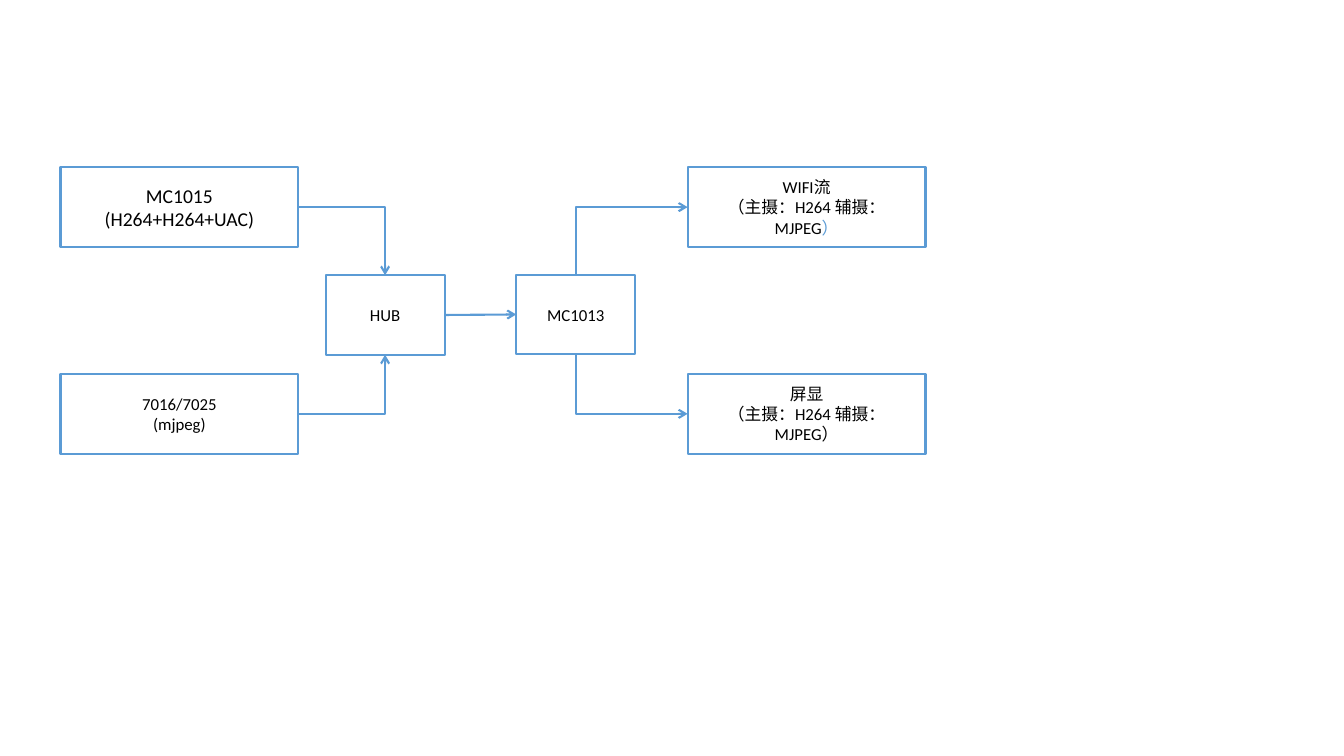
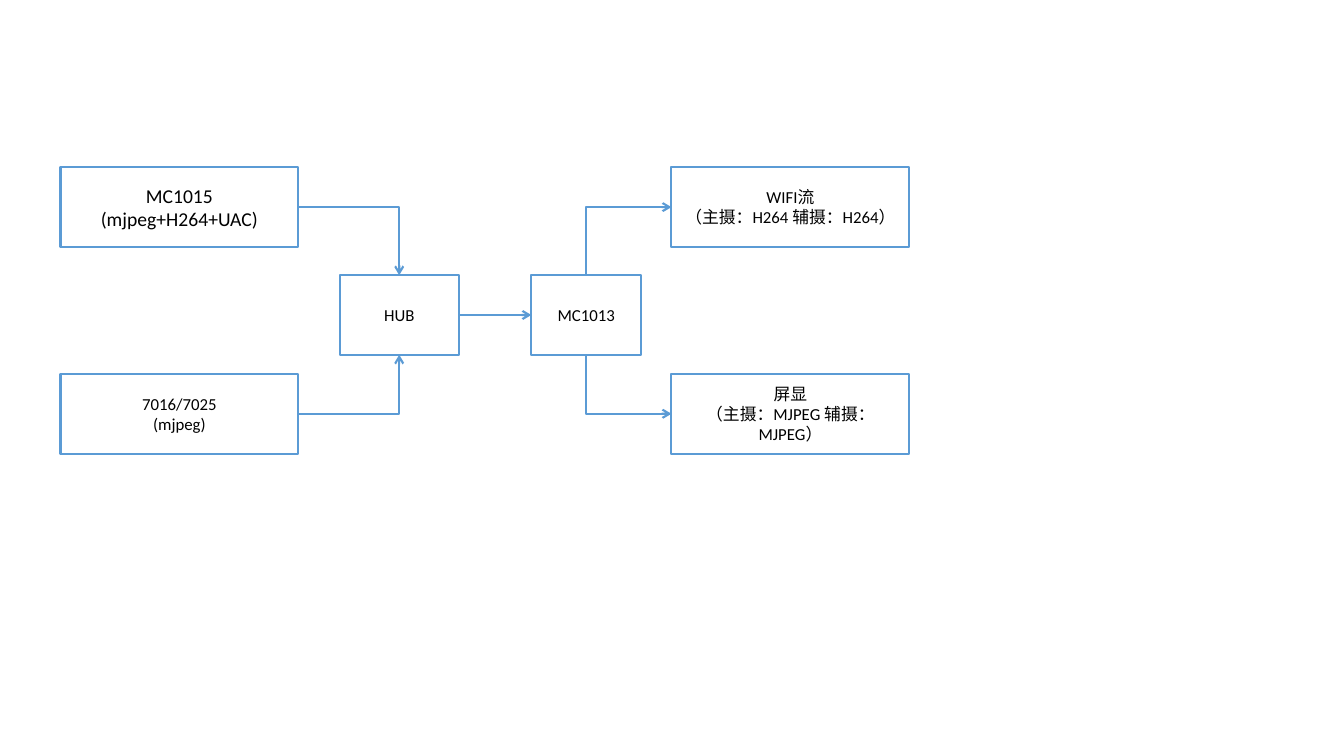
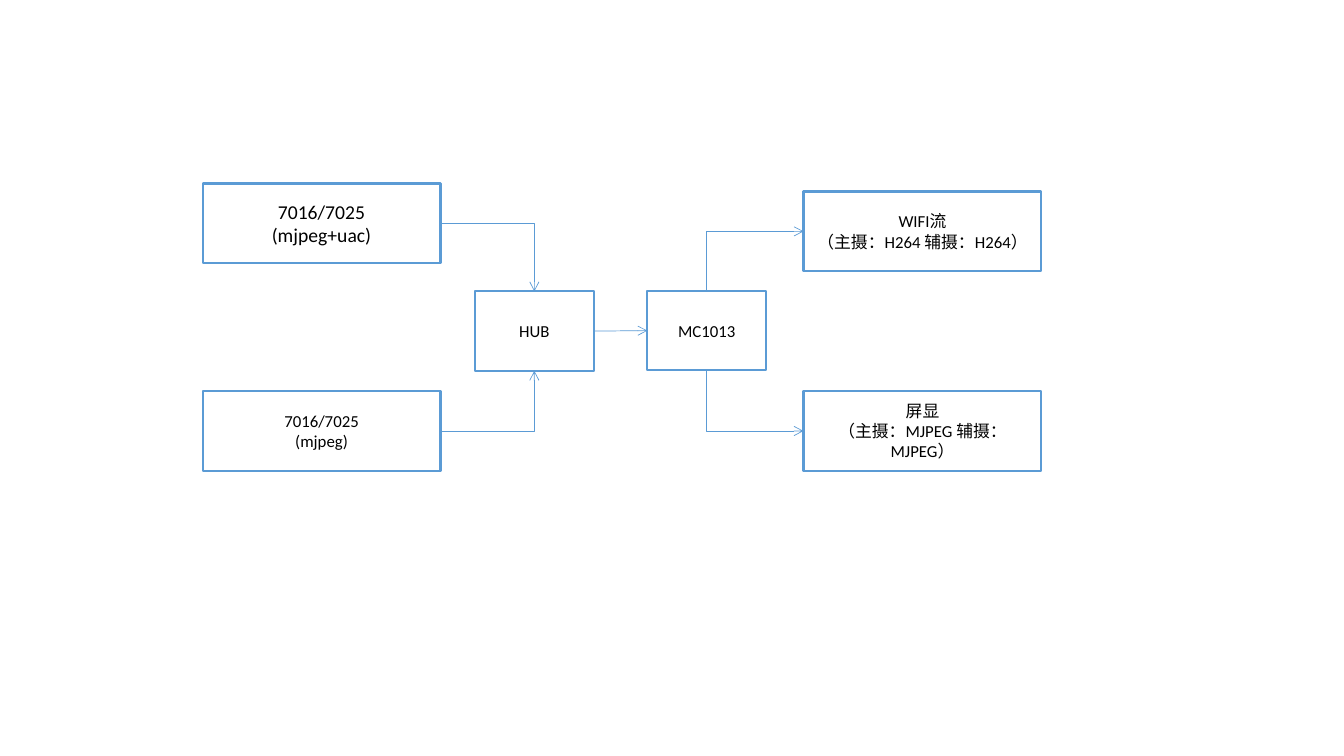
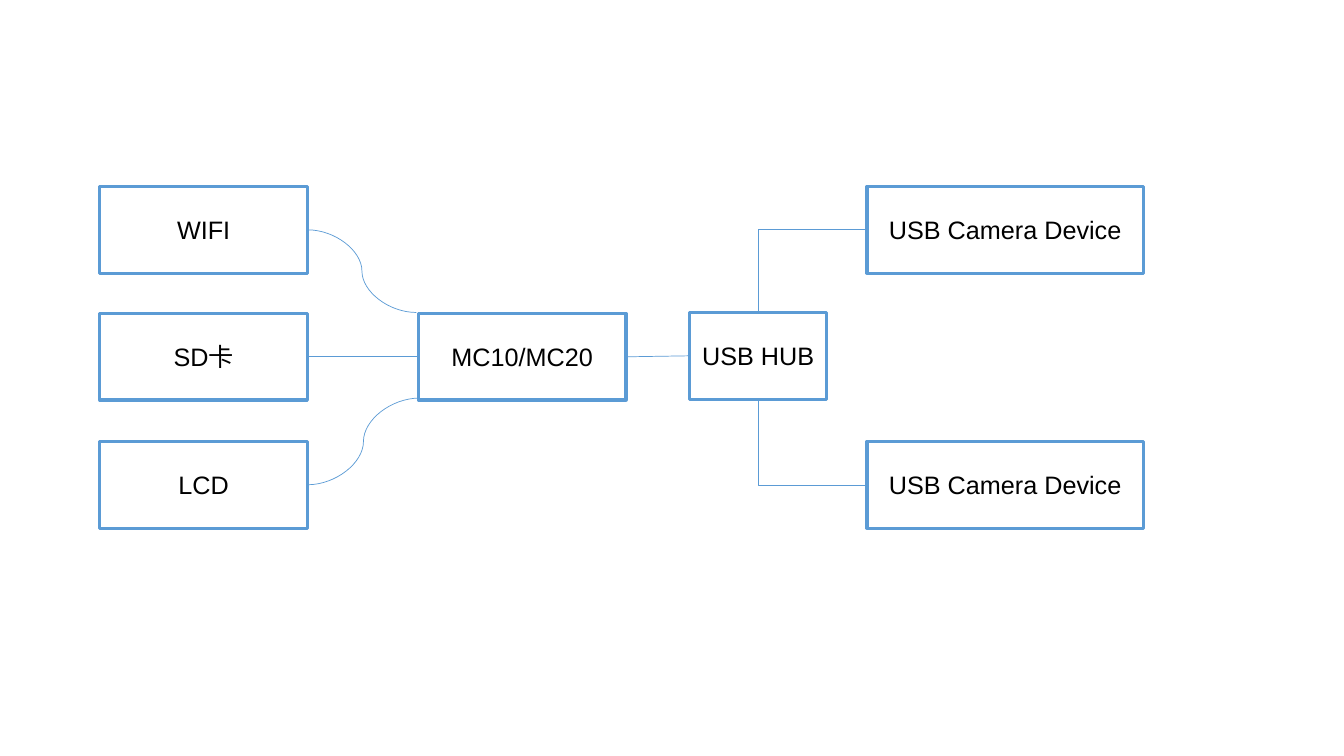
from lxml.etree import SubElement
from pptx import Presentation
from pptx.dml.color import RGBColor
from pptx.enum.shapes import MSO_CONNECTOR, MSO_SHAPE
from pptx.enum.text import MSO_ANCHOR, PP_ALIGN
from pptx.oxml.ns import qn
from pptx.util import Inches, Pt

ACCENT = "5B9BD5"
WHITE = "FFFFFF"
BLACK = "000000"
TOP, LEFT, BOTTOM, RIGHT = range(4)


def color(value):
    """Turn a hex string into a colour."""
    return RGBColor.from_string(value)


def side_point(shape, side):
    """Return the middle of one side of a shape."""
    x = shape.left + shape.width * {LEFT: 0, RIGHT: 2}.get(side, 1) // 2
    y = shape.top + shape.height * {TOP: 0, BOTTOM: 2}.get(side, 1) // 2
    return x, y


class Diagram:
    """Draws boxes and connectors in one style on the current slide."""

    def __init__(self, presentation):
        """Remember the presentation."""
        self.presentation = presentation

    def new_slide(self, font, size, box_line, link_line, arrow):
        """Start a blank slide and set its style."""
        self.slide = self.presentation.slides.add_slide(self.presentation.slide_layouts[6])
        self.font, self.size = font, size
        self.box_line, self.link_line, self.arrow = box_line, link_line, arrow

    def box(self, left, top, width, height, lines, size=None):
        """Add an outlined rectangle with centred lines of text."""
        shape = self.slide.shapes.add_shape(
            MSO_SHAPE.RECTANGLE, Inches(left), Inches(top), Inches(width), Inches(height))
        shape.shadow.inherit = False
        shape.fill.solid()
        shape.fill.fore_color.rgb = color(WHITE)
        shape.line.color.rgb = color(ACCENT)
        shape.line.width = Pt(self.box_line)
        text_frame = shape.text_frame
        text_frame.word_wrap = True
        text_frame.vertical_anchor = MSO_ANCHOR.MIDDLE
        text_frame.text = lines
        for paragraph in text_frame.paragraphs:
            paragraph.alignment = PP_ALIGN.CENTER
            for run in paragraph.runs:
                self.style_run(run, size or self.size, BLACK)
        return shape

    def style_run(self, run, size, value):
        """Set the font, size and colour of a run."""
        run.font.name = self.font
        run.font.size = Pt(size)
        run.font.color.rgb = color(value)

    def accent_last_character(self, shape):
        """Give the last character of a box the accent colour."""
        paragraph = shape.text_frame.paragraphs[-1]
        run = paragraph.runs[-1]
        text = run.text
        run.text = text[:-1]
        last = paragraph.add_run()
        last.text = text[-1]
        self.style_run(last, self.size, ACCENT)

    def connector(self, kind, start, end):
        """Add a styled connector between two points."""
        connector = self.slide.shapes.add_connector(kind, *start, *end)
        connector.line.color.rgb = color(ACCENT)
        connector.line.width = Pt(self.link_line)
        if self.arrow:
            SubElement(connector.line._get_or_add_ln(), qn("a:tailEnd"), type="arrow")
        SubElement(connector._element.spPr, qn("a:effectLst"))
        return connector

    def straight(self, source, target):
        """Join the right side of one box to the left side of another."""
        connector = self.connector(
            MSO_CONNECTOR.STRAIGHT, side_point(source, RIGHT), side_point(target, LEFT))
        connector.begin_connect(source, RIGHT)
        connector.end_connect(target, LEFT)

    def elbow(self, source, source_side, target, target_side):
        """Draw a line with one right-angled bend from side to side."""
        start, end = side_point(source, source_side), side_point(target, target_side)
        rotation = 0
        if source_side in (TOP, BOTTOM):
            rotation = 270 if source_side == TOP else 90
            middle_x, middle_y = (start[0] + end[0]) // 2, (start[1] + end[1]) // 2
            half_width, half_height = abs(end[1] - start[1]) // 2, (end[0] - start[0]) // 2
            if source_side == BOTTOM:
                half_height = -half_height
            start = middle_x - half_width, middle_y - half_height
            end = middle_x + half_width, middle_y + half_height
        connector = self.connector(MSO_CONNECTOR.ELBOW, start, end)
        connector.rotation = rotation
        connector._element.spPr.find(qn("a:prstGeom")).set("prst", "bentConnector2")

    def curve(self, source, x, y):
        """Draw a curve from the right side of a box to a point."""
        self.connector(MSO_CONNECTOR.CURVE, side_point(source, RIGHT), (Inches(x), Inches(y)))

    def fork(self, source, upper, lower):
        """Branch from the top and bottom of a box to two boxes on its right."""
        self.elbow(source, TOP, upper, LEFT)
        self.elbow(source, BOTTOM, lower, LEFT)

    def camera_flow(self, columns, rows, inputs, outputs, chip_size=(1.18, 0.78)):
        """Draw two cameras through a hub and a chip to two outputs."""
        input_x, hub_x, chip_x, output_x = columns
        input_y, hub_y, output_y, lower_y = rows
        wide = 2.36, 0.79
        camera = self.box(input_x, input_y, *wide, inputs[0], 14)
        second_camera = self.box(input_x, lower_y, *wide, inputs[1])
        hub = self.box(hub_x, hub_y, 1.18, 0.79, "HUB")
        chip = self.box(chip_x, hub_y, *chip_size, "MC1013")
        stream = self.box(output_x, output_y, *wide, "WIFI流\n" + outputs[0])
        screen = self.box(output_x, lower_y, *wide, "屏显\n" + outputs[1])
        self.straight(hub, chip)
        self.elbow(camera, RIGHT, hub, TOP)
        self.elbow(second_camera, RIGHT, hub, BOTTOM)
        self.fork(chip, stream, screen)
        return stream


def device_overview(diagram):
    """Draw the chip with its outputs and its USB cameras."""
    height = 0.86
    rows = [1.85, 3.11, 4.38]
    wifi, card, lcd = [
        diagram.box(0.99, top, 2.06, height, name)
        for top, name in zip(rows, ("WIFI", "SD卡", "LCD"))]
    chip = diagram.box(4.15, rows[1], 2.06, height, "MC10/MC20")
    hub = diagram.box(6.84, 3.1, 1.36, height, "USB HUB")
    cameras = [
        diagram.box(8.6, top, 2.74, height, "USB Camera Device") for top in rows[::2]]
    diagram.fork(hub, *cameras)
    diagram.straight(chip, hub)
    diagram.straight(card, chip)
    diagram.curve(wifi, 4.13, 3.1)
    diagram.curve(lcd, 4.16, 3.95)


def main():
    """Build the four slides and save them."""
    presentation = Presentation()
    presentation.slide_width, presentation.slide_height = Inches(13.33), Inches(7.5)
    diagram = Diagram(presentation)
    second_input = "7016/7025\n(mjpeg)"
    both_h264 = "（主摄：H264 辅摄：H264）"
    both_mjpeg = "（主摄：MJPEG 辅摄：MJPEG）"
    mixed = "（主摄：H264 辅摄：MJPEG）"
    rows = 1.66, 2.73, 1.66, 3.71

    diagram.new_slide("Calibri", 12, 1.5, 1.5, True)
    stream = diagram.camera_flow(
        (0.6, 3.23, 5.12, 6.82), rows,
        ("MC1015\n(H264+H264+UAC)", second_input), (mixed, mixed))
    diagram.accent_last_character(stream)

    diagram.new_slide("Calibri", 12, 1.5, 1.5, True)
    diagram.camera_flow(
        (0.6, 3.37, 5.27, 6.66), rows,
        ("MC1015\n(mjpeg+H264+UAC)", second_input), (both_h264, both_mjpeg), (1.09, 0.79))

    diagram.new_slide("Calibri", 12, 1.5, 0.5, True)
    diagram.camera_flow(
        (2.01, 4.71, 6.42, 7.97), (1.82, 2.89, 1.9, 3.88),
        ("7016/7025\n(mjpeg+uac)", second_input), (both_h264, both_mjpeg))

    diagram.new_slide("Arial", 18, 2.25, 0.5, False)
    device_overview(diagram)
    presentation.save("out.pptx")


if __name__ == "__main__":
    main()
